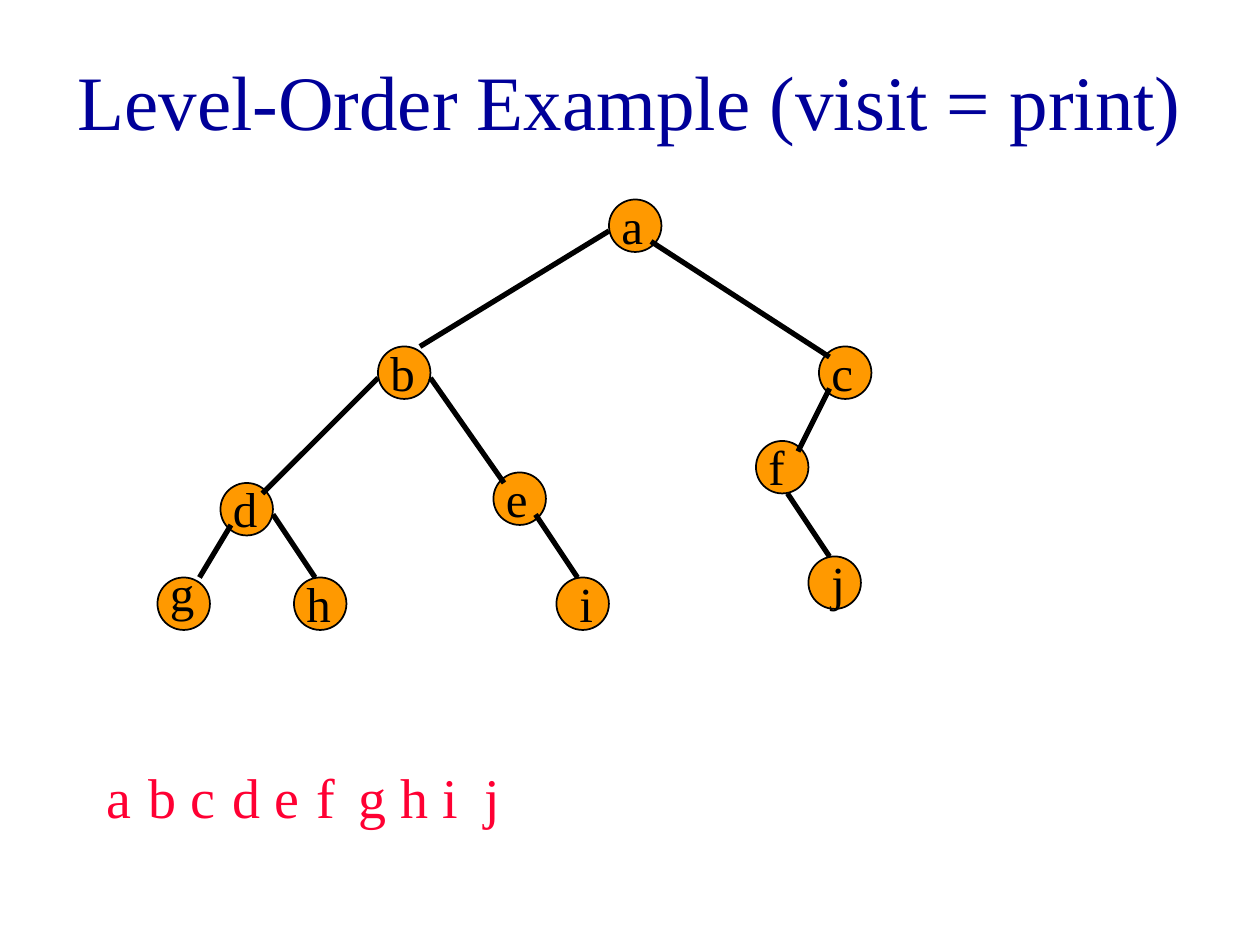
from typing import NamedTuple

from lxml import etree
from pptx import Presentation
from pptx.dml.color import RGBColor
from pptx.enum import shapes, text
from pptx.oxml import ns
from pptx.util import Pt

FONT = "Times New Roman"
NAVY, ORANGE, RED, BLACK = "000099", "FF9900", "FF0033", "000000"
DIAMETER = 30


class Node(NamedTuple):
    x: float
    y: float
    label_dx: float = 0
    label_dy: float = -6


class Edge(NamedTuple):
    """Line between two nodes; each end is an offset from its node's corner."""
    parent: str
    child: str
    start: tuple[float, float]
    end: tuple[float, float]


# Listed in level order, which is also the order of the printed visits.
NODES = {
    "a": Node(348, 114),
    "b": Node(216, 198),
    "c": Node(468, 198),
    "d": Node(126, 276),
    "e": Node(282, 270),
    "f": Node(432, 252),
    "g": Node(90, 330, label_dy=-12),
    "h": Node(168, 330),
    "i": Node(318, 330, label_dx=6),
    "j": Node(462, 318, label_dx=6),
}
EDGES = [
    Edge("a", "b", (0, 18), (24, 0)),
    Edge("a", "c", (24, 24), (6, 6)),
    Edge("b", "d", (0, 18), (24, 6)),
    Edge("b", "e", (30, 18), (6, 6)),
    Edge("c", "f", (6, 24), (24, 6)),
    Edge("d", "g", (6, 24), (24, 0)),
    Edge("d", "h", (30, 18), (12, 0)),
    Edge("e", "i", (24, 24), (12, 0)),
    Edge("f", "j", (18, 30), (12, 0)),
]


def rgb(value: str) -> RGBColor:
    return RGBColor.from_string(value)


def add_text(s, words: str, x: float, y: float, w: float, h: float,
             size: float, color: str, before: float = 0,
             align=text.PP_ALIGN.LEFT, anchor=text.MSO_ANCHOR.TOP) -> None:
    tf = s.shapes.add_textbox(Pt(x), Pt(y), Pt(w), Pt(h)).text_frame
    tf.word_wrap = True
    tf.vertical_anchor = anchor
    p = tf.paragraphs[0]
    p.alignment = align
    p.space_before = Pt(before)
    r = p.add_run()
    r.text = words
    r.font.name = FONT
    r.font.size = Pt(size)
    r.font.color.rgb = rgb(color)


def add_circle(s, node: Node) -> None:
    sp = s.shapes.add_shape(shapes.MSO_SHAPE.OVAL, Pt(node.x), Pt(node.y),
                            Pt(DIAMETER), Pt(DIAMETER))
    sp.shadow.inherit = False
    sp.fill.solid()
    sp.fill.fore_color.rgb = rgb(ORANGE)
    sp.line.color.rgb = rgb(BLACK)
    sp.line.width = Pt(1)


def add_edge(s, edge: Edge) -> None:
    parent, child = NODES[edge.parent], NODES[edge.child]
    line = s.shapes.add_connector(
        shapes.MSO_CONNECTOR.STRAIGHT,
        Pt(parent.x + edge.start[0]), Pt(parent.y + edge.start[1]),
        Pt(child.x + edge.end[0]), Pt(child.y + edge.end[1]))
    line.line.color.rgb = rgb(BLACK)
    line.line.width = Pt(3)
    etree.SubElement(line._element.spPr, ns.qn("a:effectLst"))


def main() -> None:
    prs = Presentation()
    prs.slide_width, prs.slide_height = Pt(720), Pt(540)
    s = prs.slides.add_slide(prs.slide_layouts[6])

    add_text(s, "Level-Order Example (visit = print)", 24, 12, 672, 90, 44, NAVY,
             align=text.PP_ALIGN.CENTER, anchor=text.MSO_ANCHOR.MIDDLE)
    for node in NODES.values():
        add_circle(s, node)
    for edge in EDGES:
        add_edge(s, edge)
    for name, node in NODES.items():
        add_text(s, name, node.x + node.label_dx, node.y + node.label_dy,
                 60, 41, 28, BLACK, before=17.5)
    for i, name in enumerate(NODES):
        add_text(s, name, 54 + 24 * i, 432, 30, 46, 32, RED, before=20)

    prs.save("out.pptx")


if __name__ == "__main__":
    main()
